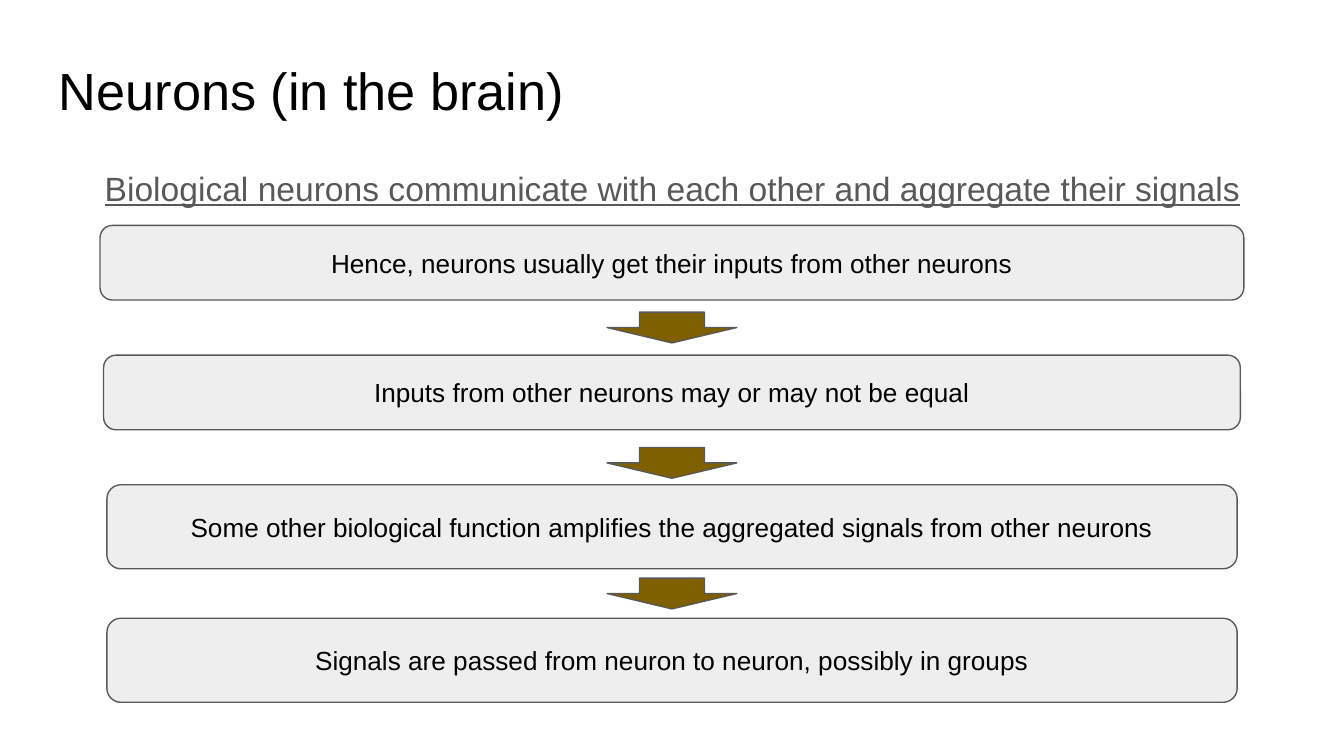
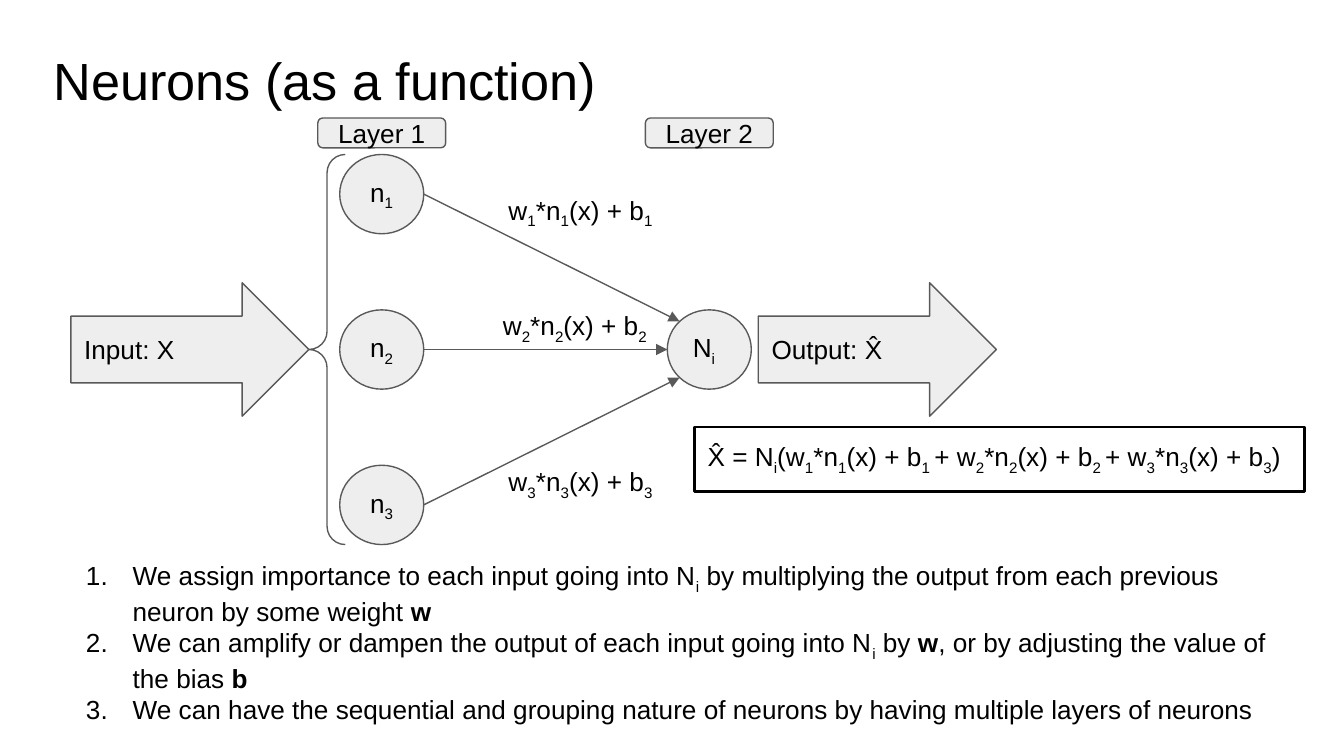
from collections import namedtuple
from math import sqrt

from lxml.etree import SubElement
from pptx import Presentation
from pptx.dml.color import RGBColor
from pptx.enum.shapes import MSO_CONNECTOR, MSO_SHAPE as Preset
from pptx.enum.text import MSO_ANCHOR as Anchor, PP_ALIGN as Align
from pptx.oxml.ns import qn
from pptx.util import Pt

BLACK = RGBColor(0x00, 0x00, 0x00)
GRAY = RGBColor(0x59, 0x59, 0x59)
LIGHT = RGBColor(0xEE, 0xEE, 0xEE)
BROWN = RGBColor(0x7F, 0x60, 0x00)
FONT = "Arial"
INSET = 7.2

# All box lengths are points.
Box = namedtuple("Box", "left top width height")


def points(box):
    return [Pt(value) for value in box]


def centered(center_x, center_y, width, height):
    return Box(center_x - width / 2, center_y - height / 2, width, height)


def add_runs(paragraph, text, size, color):
    """Write marked text: ~subscript~ and |bold|."""
    for sub_index, piece in enumerate(text.split("~")):
        for bold_index, part in enumerate(piece.split("|")):
            if not part:
                continue
            run = paragraph.add_run()
            run.text = part
            font = run.font
            font.name, font.size, font.color.rgb = FONT, Pt(size), color
            if bold_index % 2:
                font.bold = True
            if sub_index % 2:
                run._r.get_or_add_rPr().set("baseline", "-25000")


def write(shape, lines, size=14, color=BLACK, align=Align.LEFT, anchor=Anchor.TOP):
    frame = shape.text_frame
    frame.word_wrap = True
    frame.vertical_anchor = anchor
    frame.margin_left = frame.margin_right = Pt(INSET)
    frame.margin_top = frame.margin_bottom = Pt(INSET)
    for index, line in enumerate(lines):
        paragraph = frame.add_paragraph() if index else frame.paragraphs[0]
        paragraph.alignment = align
        add_runs(paragraph, line, size, color)
    return frame.paragraphs


def add_text(slide, box, *lines, **style):
    return write(slide.shapes.add_textbox(*points(box)), lines, **style)


def add_preset(slide, preset, box, text="", fill=LIGHT, line=GRAY, weight=0.75,
               align=Align.CENTER, anchor=Anchor.MIDDLE):
    shape = slide.shapes.add_shape(preset, *points(box))
    shape.shadow.inherit = False
    if fill is None:
        shape.fill.background()
    else:
        shape.fill.solid()
        shape.fill.fore_color.rgb = fill
    shape.line.color.rgb = line
    shape.line.width = Pt(weight)
    if text:
        write(shape, [text], align=align, anchor=anchor)
    return shape


def add_arrow(slide, start, end):
    connector = slide.shapes.add_connector(
        MSO_CONNECTOR.STRAIGHT, *points(start + end))
    connector.line.color.rgb = GRAY
    connector.line.width = Pt(0.75)
    SubElement(connector.line._get_or_add_ln(), qn("a:tailEnd"), type="triangle")
    SubElement(connector._element.spPr, qn("a:effectLst"))


def add_title(slide, left, top, text):
    add_text(slide, Box(left, top, 671, 45), text, size=28)


def add_flow(slide, box):
    """Stack rounded steps with a down arrow between each pair."""
    steps = [
        ("Hence, neurons usually get their inputs from other neurons", 0, 612.8, 40),
        ("Inputs from other neurons may or may not be equal", 69.5, 609, 40),
        ("Some other biological function amplifies the aggregated signals "
         "from other neurons", 139, 605.5, 45),
        ("Signals are passed from neuron to neuron, possibly in groups",
         210.5, 605.5, 45),
    ]
    middle = box.left + box.width / 2
    for text, top, width, height in steps:
        add_preset(slide, Preset.ROUNDED_RECTANGLE,
                   Box(middle - width / 2, box.top + top, width, height), text)
    for top in (46.5, 119, 189):
        add_preset(slide, Preset.DOWN_ARROW,
                   Box(middle - 34.75, box.top + top, 69.5, 16.5), fill=BROWN)


def add_network(slide, box):
    """Draw input, first layer, weighted links, second layer and output."""
    node_width, node_height, step = 45, 42.5, 83.25
    flow_width, flow_height = 127.5, 71.5
    layer_one = box.left + 166.5
    layer_two = box.left + 342
    first_y = box.top + 40.75
    middle_y = first_y + step

    target = centered(layer_two, middle_y, node_width, node_height)
    add_preset(slide, Preset.OVAL, target, "N~i~", align=Align.LEFT)
    for left, text in ((0, "Input: X"), (368.25, "Output: X̂")):
        add_preset(slide, Preset.RIGHT_ARROW,
                   Box(box.left + left, middle_y - flow_height / 2,
                       flow_width, flow_height), text, align=Align.LEFT)
    brace = add_preset(slide, Preset.LEFT_BRACE,
                       centered(box.left + flow_width + 9.75, middle_y,
                                19.5, 2 * step + node_height), fill=None)
    brace.adjustments[0] = 0.5

    label_offsets = ((223.25, 38), (220.25, 100), (223.25, 183.5))
    for index, (label_left, label_top) in enumerate(label_offsets):
        number = index + 1
        node_y = first_y + index * step
        add_preset(slide, Preset.OVAL,
                   centered(layer_one, node_y, node_width, node_height),
                   f"n~{number}~")
        # The outer links meet the target on its diagonals.
        side = index - 1
        reach = 1 / sqrt(2) if side else 1
        add_arrow(slide, (layer_one + node_width / 2, node_y),
                  (layer_two - reach * node_width / 2,
                   middle_y + side * reach * node_height / 2))
        add_text(slide, Box(box.left + label_left, box.top + label_top, 99.5, 24.5),
                 f"w~{number}~*n~{number}~(x) + b~{number}~",
                 align=Align.CENTER, anchor=Anchor.MIDDLE)

    for number, center in enumerate((layer_one, layer_two), 1):
        add_preset(slide, Preset.ROUNDED_RECTANGLE,
                   centered(center, box.top + 8, 68.5, 16), f"Layer {number}")
    add_preset(slide, Preset.RECTANGLE,
               Box(box.left + 334, box.top + 165.5, 327, 34.5),
               "X̂ = N~i~(w~1~*n~1~(x) + b~1 ~+ w~2~*n~2~(x) + b~2 ~"
               "+ w~3~*n~3~(x) + b~3~)",
               fill=None, line=BLACK, weight=1.5, align=Align.LEFT, anchor=Anchor.TOP)


def add_numbered_list(slide, box, lines):
    for paragraph in add_text(slide, box, *lines):
        properties = paragraph._p.get_or_add_pPr()
        properties.set("marL", str(Pt(36)))
        properties.set("indent", str(Pt(-25)))
        color = SubElement(properties, qn("a:buClr"))
        SubElement(color, qn("a:srgbClr"), val=str(BLACK))
        SubElement(properties, qn("a:buFont"), typeface=FONT)
        SubElement(properties, qn("a:buAutoNum"), type="arabicPeriod")


def build_brain_slide(slide):
    add_title(slide, 24.5, 23.75, "Neurons (in the brain)")
    subtitle, = add_text(
        slide, Box(49, 72, 671, 45),
        "Biological neurons communicate with each other and aggregate their signals",
        size=18, color=GRAY)
    subtitle.line_spacing = 1.5
    subtitle.runs[0].font.underline = True
    add_flow(slide, Box(53.6, 120.75, 612.8, 255.5))


def build_function_slide(slide):
    add_title(slide, 21.5, 18.75, "Neurons (as a function)")
    add_network(slide, Box(38, 63.25, 661, 229))
    add_numbered_list(slide, Box(28, 292.5, 664.5, 99.5), [
        "We assign importance to each input going into N~i~ by multiplying the "
        "output from each previous neuron by some weight |w|",
        "We can amplify or dampen the output of each input going into N~i~ by |w|, "
        "or by adjusting the value of the bias |b|",
        "We can have the sequential and grouping nature of neurons by having "
        "multiple layers of neurons",
    ])


def main():
    presentation = Presentation()
    presentation.slide_width, presentation.slide_height = Pt(720), Pt(405)
    blank = presentation.slide_layouts[6]
    for build in (build_brain_slide, build_function_slide):
        build(presentation.slides.add_slide(blank))
    presentation.save("out.pptx")


if __name__ == "__main__":
    main()
